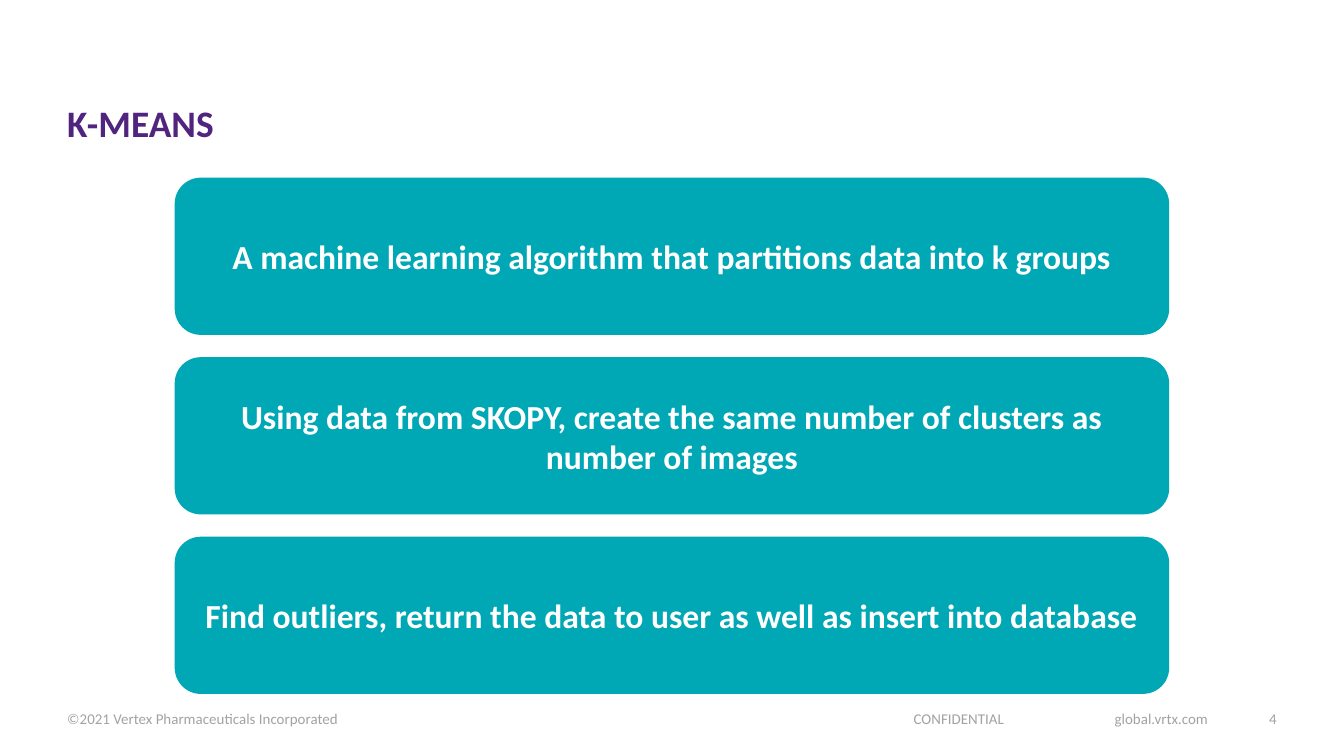
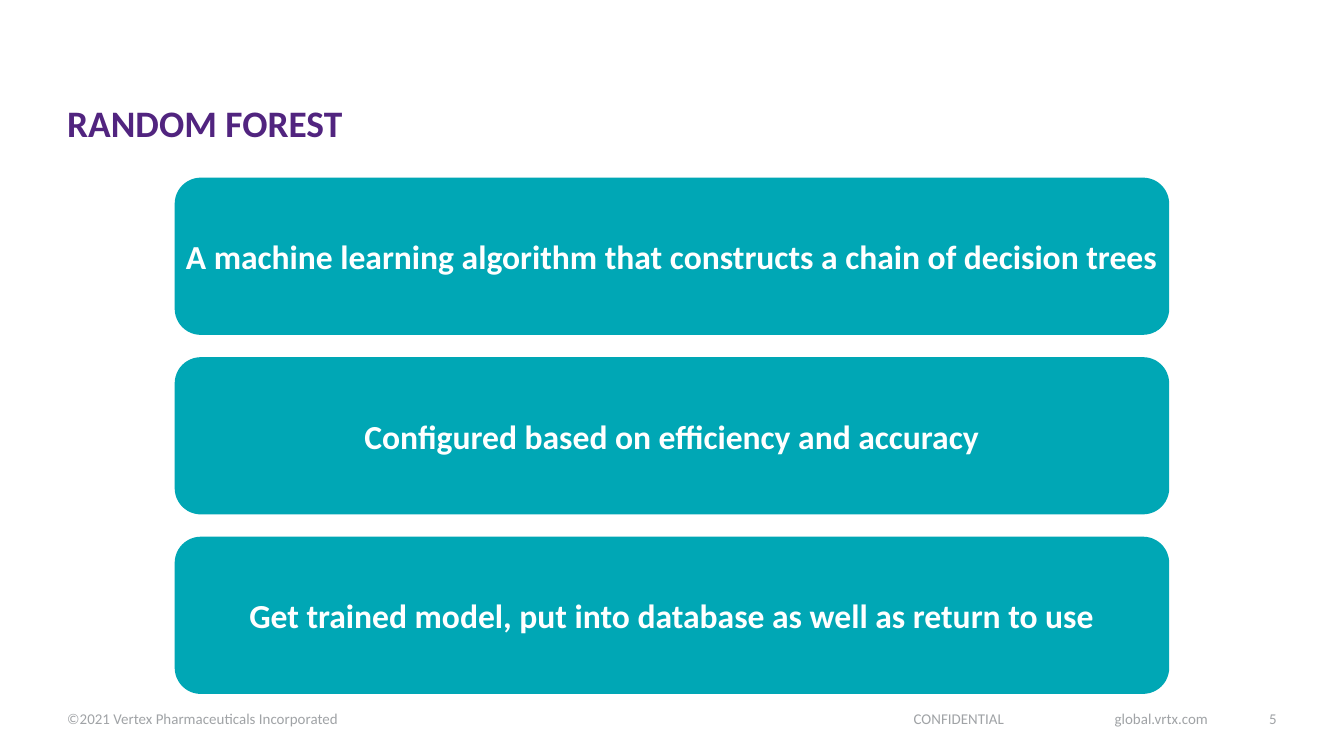
from dataclasses import dataclass

from pptx import Presentation
from pptx.dml.color import RGBColor
from pptx.enum.shapes import MSO_SHAPE
from pptx.enum.text import MSO_ANCHOR, MSO_AUTO_SIZE, PP_ALIGN
from pptx.slide import Slide
from pptx.text.text import TextFrame
from pptx.util import Inches, Pt

WIDTH = Inches(10)
HEIGHT = WIDTH * 9 // 16
FONT = "Calibri"
COLORS = {"title": "51247F", "card": "00A7B5", "card_text": "FFFFFF", "footer": "A0A3A6"}
FIRST_NUMBER = 4


@dataclass(frozen=True)
class Box:
    """A rectangle in percent of the slide's width and height."""
    left: float
    top: float
    width: float
    height: float

    def emu(self) -> tuple[int, int, int, int]:
        return (round(WIDTH * self.left / 100), round(HEIGHT * self.top / 100),
                round(WIDTH * self.width / 100), round(HEIGHT * self.height / 100))


@dataclass(frozen=True)
class TextStyle:
    size: int
    color: str
    bold: bool = False
    align: PP_ALIGN = PP_ALIGN.LEFT
    anchor: MSO_ANCHOR = MSO_ANCHOR.TOP
    inset_top: float = 0
    inset_bottom: float = 0
    line_spacing: float = 1.0


@dataclass(frozen=True)
class Footer:
    text: str
    left: float
    width: float
    style: TextStyle


@dataclass(frozen=True)
class Topic:
    title: str
    cards: tuple[str, ...]


TITLE_BOX = Box(5, 8.6, 90, 9.6)
FIRST_CARD = Box(13, 23.5, 74, 20.8)
CARD_GAP = 2.95
FOOTER_TOP, FOOTER_HEIGHT = 93, 4

TITLE = TextStyle(20, "title", True, anchor=MSO_ANCHOR.BOTTOM, inset_top=0.66, line_spacing=0.9)
CARD = TextStyle(18, "card_text", True, PP_ALIGN.CENTER, MSO_ANCHOR.MIDDLE)
FOOTER_LEFT = TextStyle(8, "footer", inset_top=0.05, inset_bottom=0.05)
FOOTER_CENTER = TextStyle(8, "footer", align=PP_ALIGN.CENTER, anchor=MSO_ANCHOR.MIDDLE)
FOOTER_RIGHT = TextStyle(8, "footer", align=PP_ALIGN.RIGHT, inset_top=0.05, inset_bottom=0.05)

FOOTERS = (
    Footer("global.vrtx.com", 82.1, 7.8, FOOTER_RIGHT),
    Footer("CONFIDENTIAL", 60.65, 21.4, FOOTER_CENTER),
    Footer("©2021 Vertex Pharmaceuticals Incorporated", 5, 59.2, FOOTER_LEFT),
)

TOPICS = (
    Topic("K-MEANS", (
        "A machine learning algorithm that partitions data into k groups",
        "Using data from SKOPY, create the same number of clusters as number of images",
        "Find outliers, return the data to user as well as insert into database",
    )),
    Topic("RANDOM FOREST", (
        "A machine learning algorithm that constructs a chain of decision trees",
        "Configured based on efficiency and accuracy",
        "Get trained model, put into database as well as return to use",
    )),
)


def rgb(name: str) -> RGBColor:
    return RGBColor.from_string(COLORS[name])


def write(tf: TextFrame, text: str, style: TextStyle) -> None:
    tf.word_wrap = True
    tf.auto_size = MSO_AUTO_SIZE.NONE
    tf.vertical_anchor = style.anchor
    tf.margin_left = tf.margin_right = 0
    tf.margin_top = Inches(style.inset_top)
    tf.margin_bottom = Inches(style.inset_bottom)
    p = tf.paragraphs[0]
    p.alignment = style.align
    p.line_spacing = style.line_spacing
    p.space_before = Pt(0)
    r = p.add_run()
    r.text = text
    r.font.name = FONT
    r.font.size = Pt(style.size)
    r.font.bold = style.bold
    r.font.color.rgb = rgb(style.color)


def add_title(s: Slide, text: str) -> None:
    sp = s.shapes.title
    sp.left, sp.top, sp.width, sp.height = TITLE_BOX.emu()
    write(sp.text_frame, text, TITLE)


def add_footer(s: Slide, footer: Footer) -> None:
    box = Box(footer.left, FOOTER_TOP, footer.width, FOOTER_HEIGHT)
    write(s.shapes.add_textbox(*box.emu()).text_frame, footer.text, footer.style)


def add_card(s: Slide, row: int, text: str) -> None:
    top = FIRST_CARD.top + row * (FIRST_CARD.height + CARD_GAP)
    box = Box(FIRST_CARD.left, top, FIRST_CARD.width, FIRST_CARD.height)
    sp = s.shapes.add_shape(MSO_SHAPE.ROUNDED_RECTANGLE, *box.emu())
    sp.shadow.inherit = False
    sp.fill.solid()
    sp.fill.fore_color.rgb = rgb("card")
    sp.line.fill.background()
    write(sp.text_frame, text, CARD)


def main() -> None:
    prs = Presentation()
    prs.slide_width, prs.slide_height = WIDTH, HEIGHT
    title_only = prs.slide_layouts.get_by_name("Title Only")
    for number, topic in enumerate(TOPICS, FIRST_NUMBER):
        s = prs.slides.add_slide(title_only)
        for footer in (*FOOTERS, Footer(str(number), 89.9, 5.1, FOOTER_RIGHT)):
            add_footer(s, footer)
        add_title(s, topic.title)
        for row, text in enumerate(topic.cards):
            add_card(s, row, text)
    prs.save("out.pptx")


if __name__ == "__main__":
    main()
